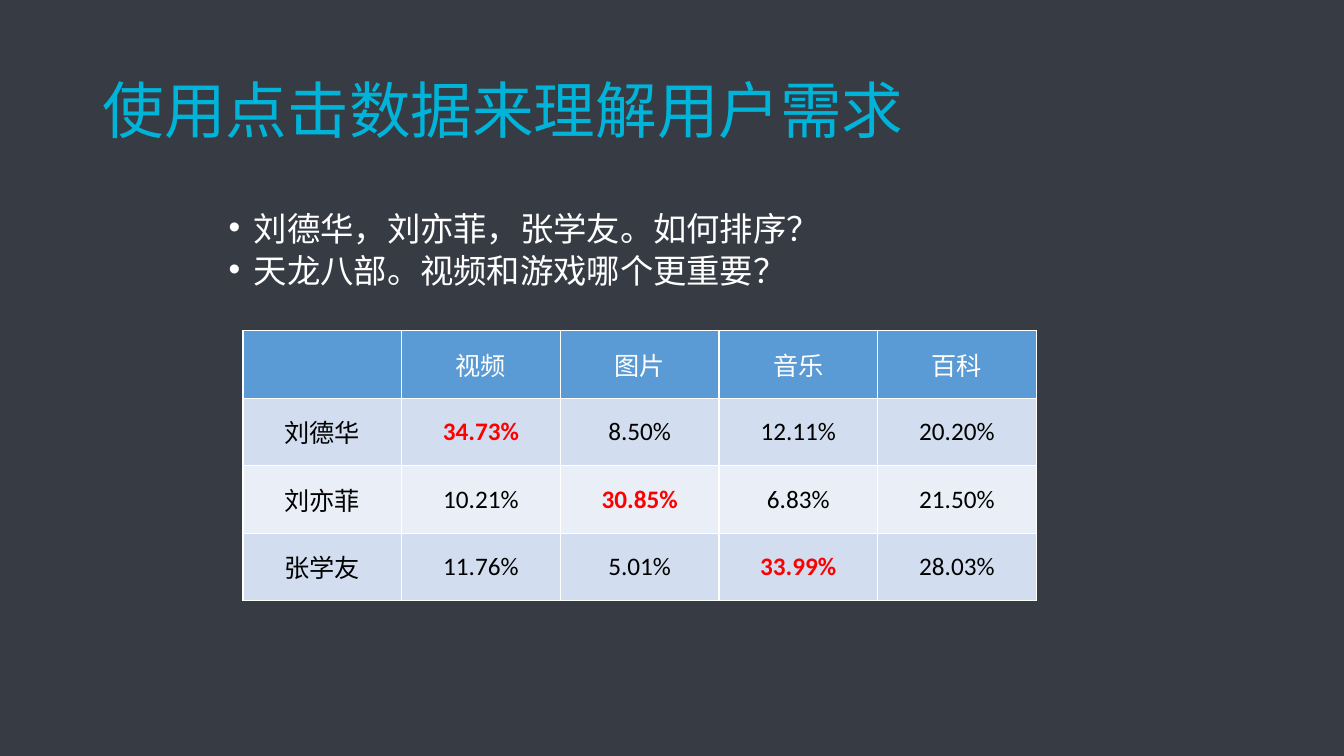
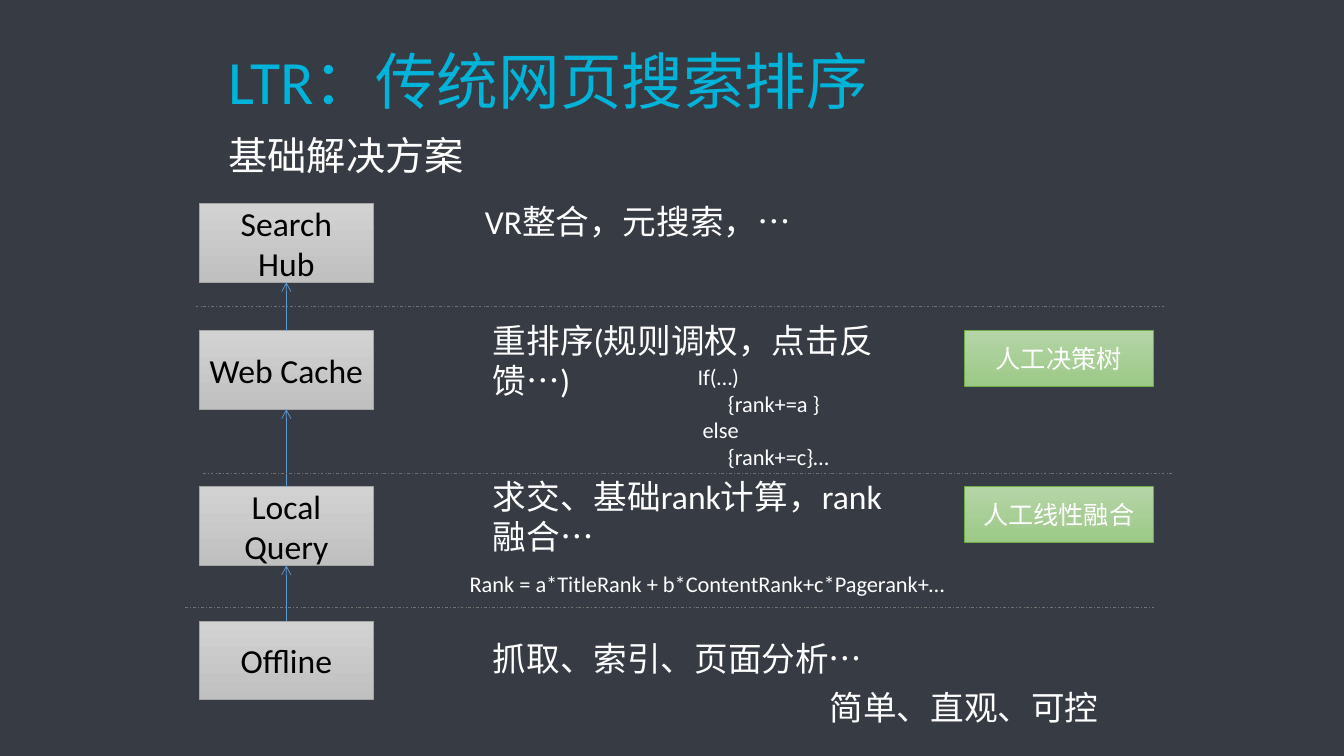
"""Build two slides on click data and traditional web search ranking."""
from itertools import pairwise

from lxml.etree import SubElement
from pptx import Presentation
from pptx.dml.color import RGBColor
from pptx.enum.dml import MSO_LINE
from pptx.enum.shapes import MSO_CONNECTOR, MSO_SHAPE
from pptx.enum.text import MSO_ANCHOR, PP_ALIGN
from pptx.oxml.ns import qn
from pptx.util import Inches, Pt

DARK = RGBColor(0x37, 0x3B, 0x44)
CYAN = RGBColor(0x00, 0xB4, 0xD9)
WHITE = RGBColor(0xFF, 0xFF, 0xFF)
BLACK = RGBColor(0x00, 0x00, 0x00)
RED = RGBColor(0xFF, 0x00, 0x00)
BLUE = RGBColor(0x5B, 0x9B, 0xD5)
BANDS = RGBColor(0xEA, 0xEF, 0xF7), RGBColor(0xD2, 0xDE, 0xEF)
RULE = RGBColor(0x76, 0x71, 0x71)
GREY = RGBColor(0xD2, 0xD2, 0xD2), RGBColor(0xC0, 0xC0, 0xC0), RGBColor(0xA5, 0xA5, 0xA5)
GREEN = RGBColor(0xB5, 0xD5, 0xA7), RGBColor(0x9C, 0xC9, 0x87), RGBColor(0x70, 0xAD, 0x47)
FONT = "Calibri"

ASKS = "刘德华，刘亦菲，张学友。如何排序？\n天龙八部。视频和游戏哪个更重要？"
CLICKS = [
    ("", "视频", "图片", "音乐", "百科"),
    ("刘德华", "34.73%", "8.50%", "12.11%", "20.20%"),
    ("刘亦菲", "10.21%", "30.85%", "6.83%", "21.50%"),
    ("张学友", "11.76%", "5.01%", "33.99%", "28.03%"),
]
PEAKS = {"34.73%", "30.85%", "33.99%"}

LAYERS = [("Offline", 6.16), ("Local Query", 4.83), ("Web Cache", 3.28), ("Search\nHub", 2.02)]
METHODS = [("人工线性融合", 4.83), ("人工决策树", 3.28)]
RULES = [(1.84, 6.03), (2.01, 4.7), (1.94, 3.04)]
CODE = "If(…)\n      {rank+=a }\n else\n      {rank+=c}…"
NOTES = [
    ("抓取、索引、页面分析…", 4.79, 6.28, 4.38, 0.5, 24),
    ("求交、基础rank计算，rank融合…", 4.79, 4.67, 4.22, 0.91, 24),
    ("Rank = a*TitleRank + b*ContentRank+c*Pagerank+…", 4.56, 5.61, 5.23, 0.37, 16),
    ("重排序(规则调权，点击反馈…)", 4.79, 3.12, 4.22, 0.91, 24),
    (CODE, 6.82, 3.55, 2.19, 1.18, 16),
    ("VR整合，元搜索，…", 4.71, 1.94, 4.22, 0.5, 24),
    ("简单、直观、可控", 8.13, 6.77, 3.49, 0.5, 24),
]


def write(frame, text, size=24, color=WHITE, bold=False, align=PP_ALIGN.LEFT,
          anchor=MSO_ANCHOR.TOP, lead=1.0, gap=0, bullet=False):
    frame.word_wrap = True
    frame.vertical_anchor = anchor
    for num, line in enumerate(text.split("\n")):
        para = frame.add_paragraph() if num else frame.paragraphs[0]
        if bullet:
            props = para._p.get_or_add_pPr()
            props.set("marL", str(Inches(0.25)))
            props.set("indent", str(-Inches(0.25)))
            SubElement(props, qn("a:buFont")).set("typeface", "Arial")
            SubElement(props, qn("a:buChar")).set("char", "•")
        para.alignment = align
        para.line_spacing = lead
        if num:
            para.space_before = Pt(gap)
        run = para.add_run()
        run.text = line
        font = run.font
        font.name, font.size, font.bold = FONT, Pt(size), bold
        font.color.rgb = color


def place(slide, text, left, top, width, height, **style):
    box = slide.shapes.add_textbox(Inches(left), Inches(top), Inches(width), Inches(height))
    write(box.text_frame, text, **style)


def title(slide, text, left, top, width, height):
    place(slide, text, left, top, width, height, size=44, color=CYAN,
          anchor=MSO_ANCHOR.MIDDLE, lead=0.9)


def block(slide, text, left, top, width, height, tones, **style):
    box = slide.shapes.add_shape(MSO_SHAPE.RECTANGLE, Inches(left), Inches(top),
                                 Inches(width), Inches(height))
    box.shadow.inherit = False
    box.fill.gradient()
    box.fill.gradient_angle = 270
    for stop, tone in zip(box.fill.gradient_stops, tones):
        stop.color.rgb = tone
    box.line.color.rgb = tones[-1]
    box.line.width = Pt(0.5)
    frame = box.text_frame
    frame.margin_left = frame.margin_right = Inches(0.08)
    write(frame, text, align=PP_ALIGN.CENTER, anchor=MSO_ANCHOR.MIDDLE, **style)
    return box


def link(slide, color, left=0, top=0, width=0):
    line = slide.shapes.add_connector(MSO_CONNECTOR.STRAIGHT, Inches(left), Inches(top),
                                      Inches(left + width), Inches(top))
    line.line.color.rgb = color
    line.line.width = Pt(0.5)
    SubElement(line._element.spPr, qn("a:effectLst"))
    return line


def edge(cell):
    props = cell._tc.get_or_add_tcPr()
    for side in "LRTB":
        line = SubElement(props, qn(f"a:ln{side}"), w=str(Pt(1)))
        fill = SubElement(line, qn("a:solidFill"))
        SubElement(fill, qn("a:srgbClr"), val=str(WHITE))


def grid(slide, rows, left, top, width, height):
    table = slide.shapes.add_table(len(rows), len(rows[0]), Inches(left), Inches(top),
                                   Inches(width), Inches(height)).table
    for num, row in enumerate(rows):
        for col, text in enumerate(row):
            cell = table.cell(num, col)
            edge(cell)
            cell.fill.solid()
            cell.fill.fore_color.rgb = BANDS[num % 2] if num else BLUE
            cell.vertical_anchor = MSO_ANCHOR.MIDDLE
            if text:
                peak = text in PEAKS
                color = RED if peak else BLACK if num else WHITE
                write(cell.text_frame, text, size=18, color=color, bold=peak,
                      align=PP_ALIGN.CENTER, anchor=MSO_ANCHOR.MIDDLE)


def clicks(slide):
    title(slide, "使用点击数据来理解用户需求", 0.92, 0.4, 11.5, 1.45)
    place(slide, ASKS, 2.17, 2.12, 8.99, 0.85, size=23.8, lead=0.7, gap=10, bullet=True)
    grid(slide, CLICKS, 2.41, 3.28, 7.87, 2.68)


def ranking(slide):
    title(slide, "LTR：传统网页搜索排序", 2.17, 0.21, 9, 1.25)
    place(slide, "基础解决方案", 2.17, 1.31, 9, 0.6, size=28, lead=0.9)
    boxes = [block(slide, text, 1.98, top, 1.72, 0.78, GREY, color=BLACK)
             for text, top in LAYERS]
    for text, left, top, width, height, size in NOTES:
        place(slide, text, left, top, width, height, size=size)
    for text, top in METHODS:
        block(slide, text, 9.56, top, 1.88, 0.55, GREEN, size=18)
    for low, high in pairwise(boxes):
        arrow = link(slide, BLUE)
        arrow.begin_connect(low, 0)
        arrow.end_connect(high, 2)
        SubElement(arrow.line._get_or_add_ln(), qn("a:tailEnd")).set("type", "arrow")
    for left, top in RULES:
        link(slide, RULE, left, top, 9.61).line.dash_style = MSO_LINE.DASH_DOT


def main():
    deck = Presentation()
    deck.slide_width, deck.slide_height = Inches(13.33), Inches(7.5)
    back = deck.slide_master.background.fill
    back.solid()
    back.fore_color.rgb = DARK
    for build in (clicks, ranking):
        build(deck.slides.add_slide(deck.slide_layouts[6]))
    deck.save("out.pptx")


if __name__ == "__main__":
    main()
